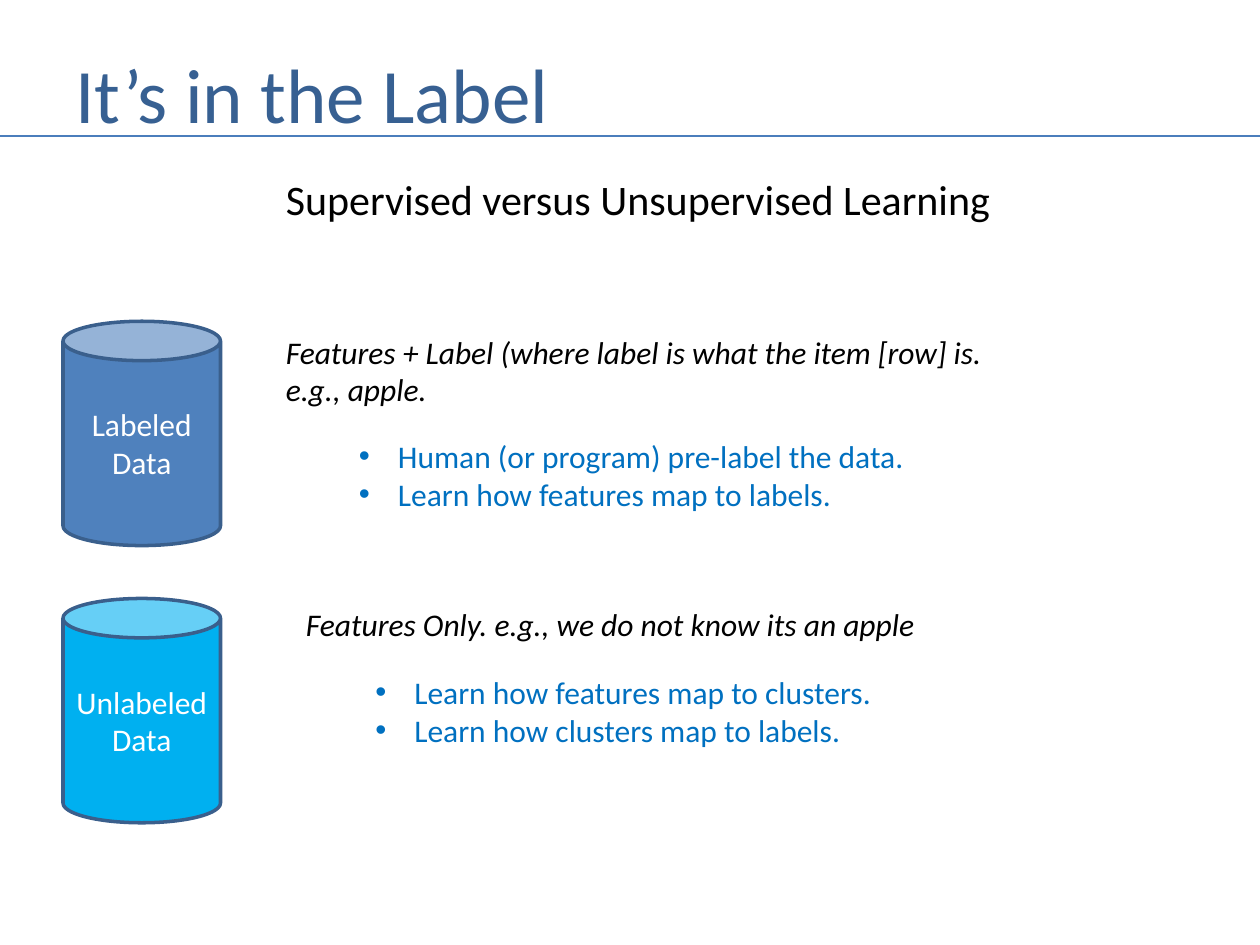
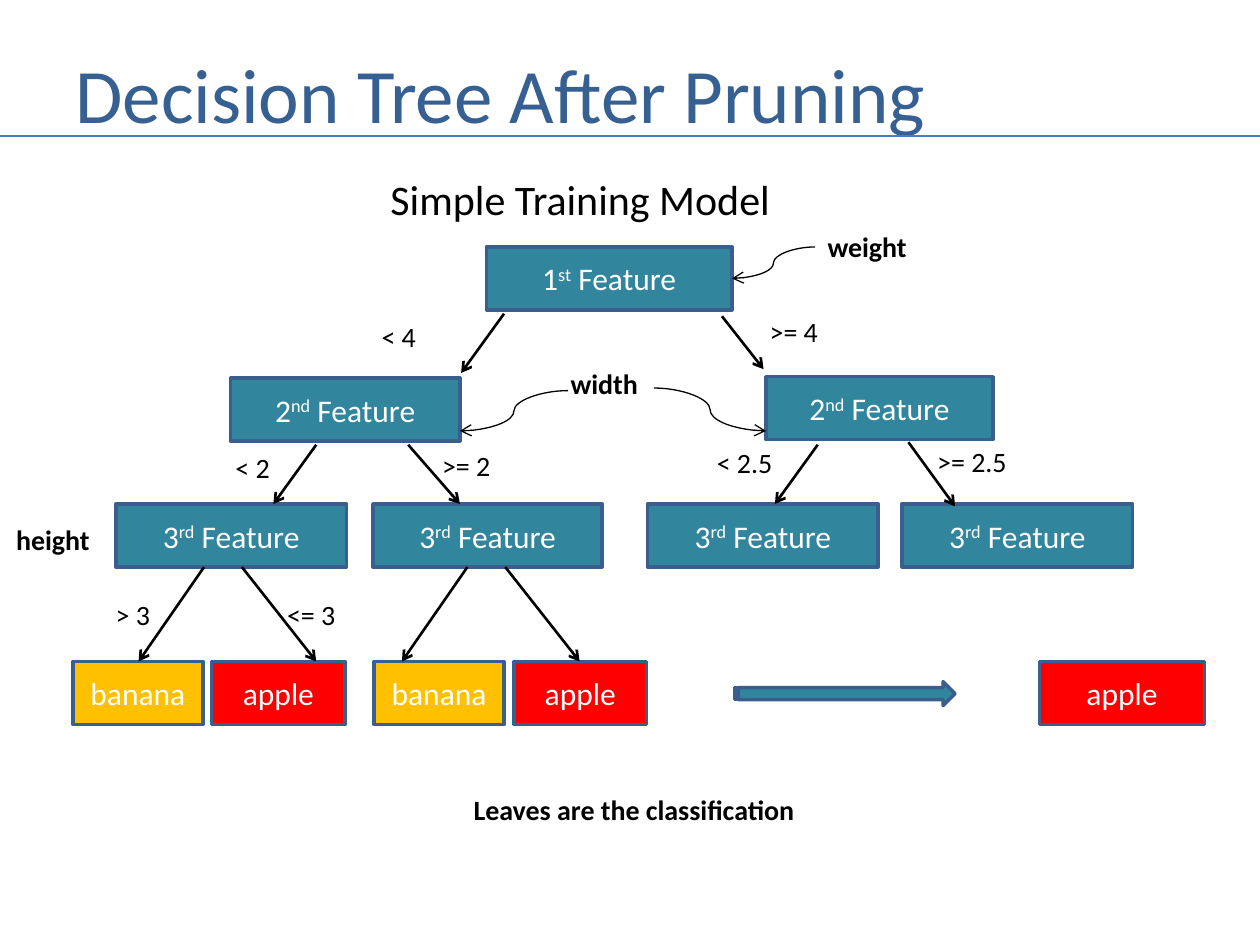
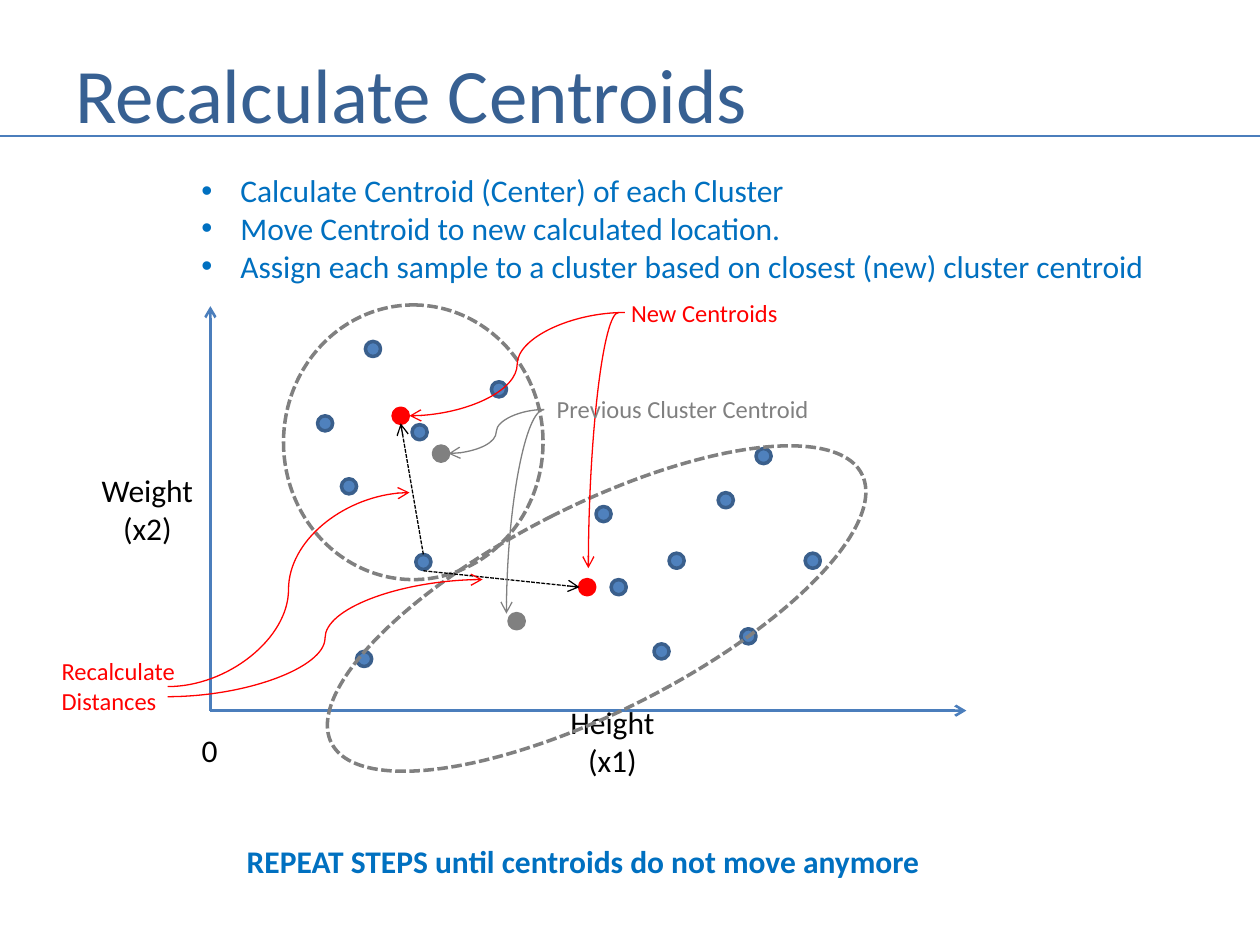
from lxml import etree
from pptx import Presentation
from pptx.dml.color import RGBColor
from pptx.enum.dml import MSO_LINE
from pptx.enum.shapes import MSO_CONNECTOR, MSO_SHAPE
from pptx.enum.text import MSO_ANCHOR, MSO_AUTO_SIZE, PP_ALIGN
from pptx.oxml.ns import qn
from pptx.util import Inches, Pt

RECTANGLE = MSO_SHAPE.RECTANGLE
CAN = MSO_SHAPE.CAN
DOT = MSO_SHAPE.FLOWCHART_CONNECTOR
ELLIPSE = MSO_SHAPE.OVAL
STRIPED_ARROW = MSO_SHAPE.STRIPED_RIGHT_ARROW
STRAIGHT = MSO_CONNECTOR.STRAIGHT
CURVE = MSO_CONNECTOR.CURVE
DASHED = MSO_LINE.SQUARE_DOT
MIDDLE = MSO_ANCHOR.MIDDLE
CENTER = PP_ALIGN.CENTER
FIT_SHAPE = MSO_AUTO_SIZE.SHAPE_TO_FIT_TEXT
NO_FIT = MSO_AUTO_SIZE.NONE

FONT = "Calibri"
COLORS = {
    "title": "376092",
    "rule": "4B7EBC",
    "outline": "3A5F8C",
    "blue": "4F81BD",
    "sky": "00B0F0",
    "accent": "0070C0",
    "teal": "31859C",
    "yellow": "FFC000",
    "red": "FF0000",
    "gray": "808080",
    "black": "000000",
    "white": "FFFFFF",
}


def add_block(slide, at, text="", preset=None, fill=None, line="outline", size=18,
              color="black", bold=False, italic=False, bullets=False, wrap=False, align=None):
    frame = [Inches(value) for value in at]
    if preset is None:
        shape = slide.shapes.add_textbox(*frame)
        shape.text_frame.word_wrap = wrap
        shape.text_frame.auto_size = FIT_SHAPE
    else:
        shape = slide.shapes.add_shape(preset, *frame)
        shape.shadow.inherit = False
        shape.line.color.rgb = RGBColor.from_string(COLORS[line])
        shape.line.width = Pt(2)
        if fill:
            shape.fill.solid()
            shape.fill.fore_color.rgb = RGBColor.from_string(COLORS[fill])
        else:
            shape.fill.background()
    if text:
        shape.text_frame.text = text
        for paragraph in shape.text_frame.paragraphs:
            if align is not None:
                paragraph.alignment = align
            if bullets:
                properties = paragraph._p.get_or_add_pPr()
                properties.set("marL", str(Inches(0.31)))
                properties.set("indent", str(-Inches(0.31)))
                etree.SubElement(properties, qn("a:buFont"), typeface="Arial")
                etree.SubElement(properties, qn("a:buChar"), char="•")
            font = paragraph.font
            font.name = FONT
            font.size = Pt(size)
            font.bold = bold
            font.italic = italic
            font.color.rgb = RGBColor.from_string(COLORS[color])
    return shape


def add_link(slide, start, end, color="black", width=0.75, kind=STRAIGHT,
             dashed=False, arrow=True):
    connector = slide.shapes.add_connector(kind, *[Inches(value) for value in start + end])
    connector.line.color.rgb = RGBColor.from_string(COLORS[color])
    connector.line.width = Pt(width)
    if dashed:
        connector.line.dash_style = DASHED
    properties = connector._element.spPr
    if arrow:
        etree.SubElement(properties.find(qn("a:ln")), qn("a:tailEnd"), type="arrow")
    etree.SubElement(properties, qn("a:effectLst"))
    return connector


presentation = Presentation()
presentation.slide_width = Inches(10)
presentation.slide_height = Inches(7.5)

slides = []
for title, width in [
    ("It’s in the Label", 6.33),
    ("Decision Tree After Pruning", 7.19),
    ("Recalculate Centroids", 7.83),
]:
    slide = presentation.slides.add_slide(presentation.slide_layouts[6])
    title_box = add_block(slide, (0.5, 0.3, width, 0.87), title, size=44, color="title", wrap=True)
    title_box.text_frame.auto_size = NO_FIT
    title_box.text_frame.vertical_anchor = MIDDLE
    add_link(slide, (0, 1.08), (10, 1.08), "rule", 1.5, arrow=False)
    slides.append(slide)
label_slide, tree_slide, centroid_slide = slides

add_block(label_slide, (2.17, 1.33, 5.85, 0.5), "Supervised versus Unsupervised Learning", size=24)
for top, fill, text in [(2.55, "blue", "Labeled\vData"), (4.75, "sky", "Unlabeled\vData")]:
    add_block(label_slide, (0.5, top, 1.25, 1.78), text, CAN, fill, color="white", align=CENTER)
for at, text in [
    ((2.17, 2.59, 6, 0.71), "Features + Label (where label is what the item [row] is. e.g., apple."),
    ((2.33, 4.75, 6, 0.4), "Features Only. e.g., we do not know its an apple"),
]:
    add_block(label_slide, at, text, italic=True, wrap=True)
for at, text in [
    ((2.75, 3.42, 4.58, 0.71),
     "Human (or program) pre-label the data.\nLearn how features map to labels."),
    ((2.88, 5.29, 4.19, 0.71),
     "Learn how features map to clusters.\nLearn how clusters map to labels."),
]:
    add_block(label_slide, at, text, color="accent", bullets=True)

add_block(tree_slide, (3, 1.33, 3.32, 0.5), "Simple Training Model", size=24)
for left, top, width, number, ordinal in [
    (3.86, 1.96, 1.95, "1", "st"),
    (1.83, 3, 1.82, "2", "nd"),
    (6.08, 2.99, 1.8, "2", "nd"),
    (0.92, 4, 1.83, "3", "rd"),
    (2.96, 4, 1.82, "3", "rd"),
    (5.14, 4, 1.83, "3", "rd"),
    (7.16, 4, 1.83, "3", "rd"),
]:
    node = add_block(tree_slide, (left, top, width, 0.5), number, RECTANGLE, "teal",
                     color="white", align=CENTER)
    paragraph = node.text_frame.paragraphs[0]
    superscript = paragraph.add_run()
    superscript.text = ordinal
    superscript.font._element.set("baseline", "30000")
    paragraph.add_run().text = " Feature"

for left, width, fruit, fill in [
    (0.58, 1.03, "banana", "yellow"),
    (1.68, 1.06, "apple", "red"),
    (2.97, 1.03, "banana", "yellow"),
    (4.08, 1.05, "apple", "red"),
    (8.25, 1.31, "apple", "red"),
]:
    add_block(tree_slide, (left, 5.25, width, 0.5), fruit, RECTANGLE, fill,
              color="white", align=CENTER)
add_block(tree_slide, (5.83, 5.41, 1.75, 0.19), preset=STRIPED_ARROW, fill="teal")

for start, end in [
    ((4, 2.49), (3.66, 2.96)),
    ((5.73, 2.51), (6.06, 2.93)),
    ((2.51, 3.53), (2.17, 4)),
    ((3.24, 3.53), (3.65, 4)),
    ((6.49, 3.53), (6.15, 4)),
    ((7.21, 3.51), (7.58, 4.02)),
    ((1.62, 4.5), (1.1, 5.25)),
    ((1.92, 4.5), (2.51, 5.25)),
    ((3.71, 4.5), (3.19, 5.25)),
    ((4.01, 4.5), (4.6, 5.25)),
]:
    add_link(tree_slide, start, end, width=1.5)
for start, end in [
    ((6.47, 1.96), (5.81, 2.21)),
    ((4.51, 3.1), (3.65, 3.42)),
    ((5.19, 3.08), (6.08, 3.42)),
]:
    add_link(tree_slide, start, end, kind=CURVE)

for left, top, width, text in [
    (2.93, 2.49, 0.48, "< 4"),
    (6.01, 2.45, 0.59, ">= 4"),
    (1.77, 3.53, 0.48, "< 2"),
    (3.41, 3.51, 0.59, ">= 2"),
    (5.59, 3.49, 0.65, "< 2.5"),
    (7.34, 3.48, 0.76, ">= 2.5"),
    (0.82, 4.69, 0.48, "> 3"),
    (2.18, 4.69, 0.59, "<= 3"),
]:
    add_block(tree_slide, (left, top, width, 0.37), text, size=16)
for left, top, width, text in [
    (6.47, 1.77, 0.84, "weight"),
    (4.43, 2.86, 0.74, "width"),
    (0.03, 4.1, 0.79, "height"),
    (3.66, 6.24, 2.78, "Leaves are the classification"),
]:
    add_block(tree_slide, (left, top, width, 0.37), text, size=16, bold=True)

steps = [
    "Calculate Centroid (Center) of each Cluster",
    "Move Centroid to new calculated location.",
    "Assign each sample to a cluster based on closest (new) cluster centroid",
]
add_block(centroid_slide, (1.5, 1.31, 7.77, 1.01), "\n".join(steps), color="accent", bullets=True)
for axis_end in [(1.67, 2.43), (7.67, 5.64)]:
    add_link(centroid_slide, (1.67, 5.64), axis_end, "rule", 1.5)
for at, text in [
    ((4.42, 5.53, 0.88, 0.71), "Height\n(x1)"),
    ((1.5, 5.75, 0.33, 0.4), "0"),
    ((0.7, 3.69, 0.94, 0.71), "Weight\n(x2)"),
]:
    add_block(centroid_slide, at, text, align=CENTER)

samples = [
    (5.88, 4.99), (3.27, 3.37), (2.71, 3.8), (2.83, 5.17), (4.85, 4.6),
    (3.3, 4.4), (2.52, 3.3), (5.19, 5.11), (3.9, 3.03), (2.9, 2.71),
    (5.7, 3.91), (6, 3.56), (4.73, 4.02), (5.31, 4.39), (6.39, 4.39),
]
previous_centroids = [(3.44, 3.54), (4.04, 4.87)]
new_centroids = [(3.12, 3.24), (4.6, 4.6)]
for points, fill, line in [
    (samples, "blue", "outline"),
    (previous_centroids, "gray", "gray"),
    (new_centroids, "red", "red"),
]:
    for left, top in points:
        add_block(centroid_slide, (left, top, 0.12, 0.12), preset=DOT, fill=fill, line=line)

for at, rotation in [((3.92, 2.47, 1.63, 4.72), 63.1), ((2.19, 2.48, 2.18, 2.06), 90)]:
    cluster = add_block(centroid_slide, at, preset=ELLIPSE, line="gray")
    cluster.rotation = rotation
    cluster.line.dash_style = DASHED

for start, end in [((3.36, 4.53), (4.6, 4.66)), ((3.36, 4.4), (3.18, 3.36))]:
    add_link(centroid_slide, start, end, dashed=True)
for start, end, color in [
    ((4.32, 3.25), (3.56, 3.6), "gray"),
    ((4.96, 2.48), (3.25, 3.3), "red"),
    ((1.33, 5.45), (3.25, 3.91), "red"),
    ((1.33, 5.53), (3.83, 4.6), "red"),
]:
    add_link(centroid_slide, start, end, color, kind=CURVE)
for start, end, color in [
    ((4.32, 3.25), (4.02, 4.87), "gray"),
    ((4.91, 2.48), (4.67, 4.51), "red"),
]:
    bend = add_link(centroid_slide, start, end, color, kind=CURVE)
    bend._element.spPr.find(qn("a:prstGeom")).set("prst", "curvedConnector2")

for at, text, color in [
    ((4.32, 3.08, 2.22, 0.34), "Previous Cluster Centroid", "gray"),
    ((4.91, 2.32, 1.38, 0.34), "New Centroids", "red"),
    ((0.39, 5.16, 1.11, 0.57), "Recalculate\nDistances", "red"),
]:
    add_block(centroid_slide, at, text, size=14, color=color)
add_block(centroid_slide, (1.86, 6.63, 5.59, 0.4),
          "REPEAT STEPS until centroids do not move anymore", color="accent", bold=True)

presentation.save("out.pptx")
